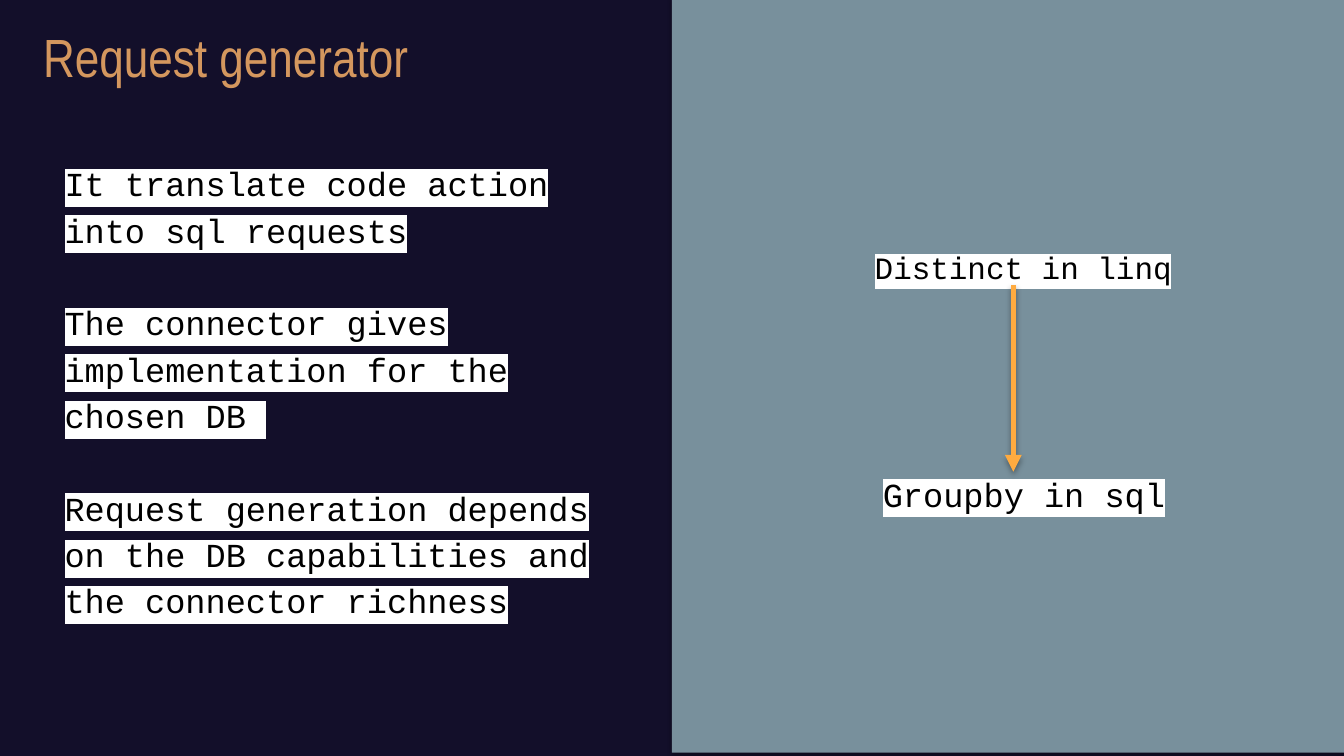
from lxml import etree
from pptx import Presentation
from pptx import util as u
from pptx.dml.color import RGBColor
from pptx.enum import shapes, text
from pptx.oxml.ns import qn

NIGHT = RGBColor(0x13, 0x0F, 0x2A)
SLATE = RGBColor(0x78, 0x90, 0x9C)
COPPER = RGBColor(0xD4, 0x97, 0x5E)
AMBER = RGBColor(0xFF, 0xAB, 0x40)
BLACK = RGBColor(0, 0, 0)
WHITE = RGBColor(0xFF, 0xFF, 0xFF)
CODE_FONT = "Courier New"
TITLE_FONT = "Arial Narrow"
COLUMNS, ROWS = 100, 56.25


class Slide:
    def __init__(self, deck):
        self.cell_width = deck.slide_width / COLUMNS
        self.cell_height = deck.slide_height / ROWS
        self.page = deck.slides.add_slide(deck.slide_layouts[1])
        fill = self.page.background.fill
        fill.solid()
        fill.fore_color.rgb = NIGHT

    def point(self, column, row):
        return round(column * self.cell_width), round(row * self.cell_height)

    def place(self, shape, area):
        shape.left, shape.top = self.point(*area[:2])
        shape.width, shape.height = self.point(*area[2:])

    def shadow(self, shape, opacity, distance):
        properties = shape._element.spPr
        effects = etree.SubElement(properties, qn("a:effectLst"))
        outer = etree.SubElement(
            effects, qn("a:outerShdw"), blurRad=str(u.Pt(3.1)),
            dist=str(u.Pt(distance)), dir="5400000", rotWithShape="0")
        color = etree.SubElement(outer, qn("a:srgbClr"), val=str(BLACK))
        etree.SubElement(color, qn("a:alpha"), val=str(opacity * 1000))

    def fill_text(self, shape, lines, font, size, color, spacing,
                  anchor=text.MSO_ANCHOR.TOP, gap=0, highlight=None):
        frame = shape.text_frame
        frame.text = "\n".join(lines)
        frame.word_wrap = True
        frame.auto_size = text.MSO_AUTO_SIZE.NONE
        frame.vertical_anchor = anchor
        frame.margin_left = frame.margin_right = u.Inches(0.1)
        frame.margin_top = frame.margin_bottom = u.Inches(0.1)
        for index, para in enumerate(frame.paragraphs):
            para.alignment = text.PP_ALIGN.LEFT
            para.line_spacing = spacing
            para.space_before = u.Pt(gap if index else 0)
            para.space_after = u.Pt(0)
            settings = para._p.get_or_add_pPr()
            settings.set("marL", "0")
            settings.set("indent", "0")
            etree.SubElement(settings, qn("a:buNone"))
            for span in para.runs:
                span.font.name = font
                span.font.size = u.Pt(size)
                span.font.color.rgb = color
                if highlight is not None:
                    mark = etree.Element(qn("a:highlight"))
                    etree.SubElement(mark, qn("a:srgbClr"), val=str(highlight))
                    span._r.rPr.find(qn("a:solidFill")).addnext(mark)

    def panel(self, area, color):
        box = self.page.shapes.add_shape(
            shapes.MSO_SHAPE.RECTANGLE, *self.point(*area[:2]), *self.point(*area[2:]))
        box.fill.solid()
        box.fill.fore_color.rgb = color
        box.line.fill.background()
        self.shadow(box, 38, 1.6)

    def title(self, area, line):
        box = self.page.shapes.title
        self.place(box, area)
        self.fill_text(box, [line], TITLE_FONT, 28.8, COPPER, 0.8)

    def body(self, area, lines):
        box = self.page.placeholders[1]
        self.place(box, area)
        self.fill_text(box, lines, CODE_FONT, 18, BLACK, 1.15, gap=24.8, highlight=WHITE)

    def label(self, area, line, size):
        box = self.page.shapes.add_textbox(*self.point(*area[:2]), *self.point(*area[2:]))
        self.fill_text(box, [line], CODE_FONT, size, BLACK, 1.15,
                       anchor=text.MSO_ANCHOR.MIDDLE, highlight=WHITE)

    def arrow(self, start, end):
        line = self.page.shapes.add_connector(
            shapes.MSO_CONNECTOR.STRAIGHT, *self.point(*start), *self.point(*end))
        line.line.color.rgb = AMBER
        line.line.width = u.Pt(3)
        etree.SubElement(line._element.spPr.find(qn("a:ln")), qn("a:tailEnd"), type="triangle")
        self.shadow(line, 35, 1.8)


def main():
    deck = Presentation()
    deck.slide_width, deck.slide_height = u.Inches(10), u.Inches(5.625)
    slide = Slide(deck)
    slide.panel((50, -0.2, 50.7, 56.2), SLATE)
    slide.title((2.2, 1.7, 45.6, 6.2), "Request generator")
    slide.body((3.8, 10.7, 42, 37), [
        "It translate code action into sql requests",
        "The connector gives implementation for the chosen DB ",
        "Request generation depends on the DB capabilities and the connector richness",
    ])
    slide.label((64.1, 15.6, 24.5, 8.2), "Distinct in linq", 16.6)
    slide.label((64.7, 32.4, 25.8, 8.2), "Groupby in sql", 18)
    slide.arrow((75.4, 21.2), (75.4, 35.1))
    deck.save("out.pptx")


if __name__ == "__main__":
    main()
